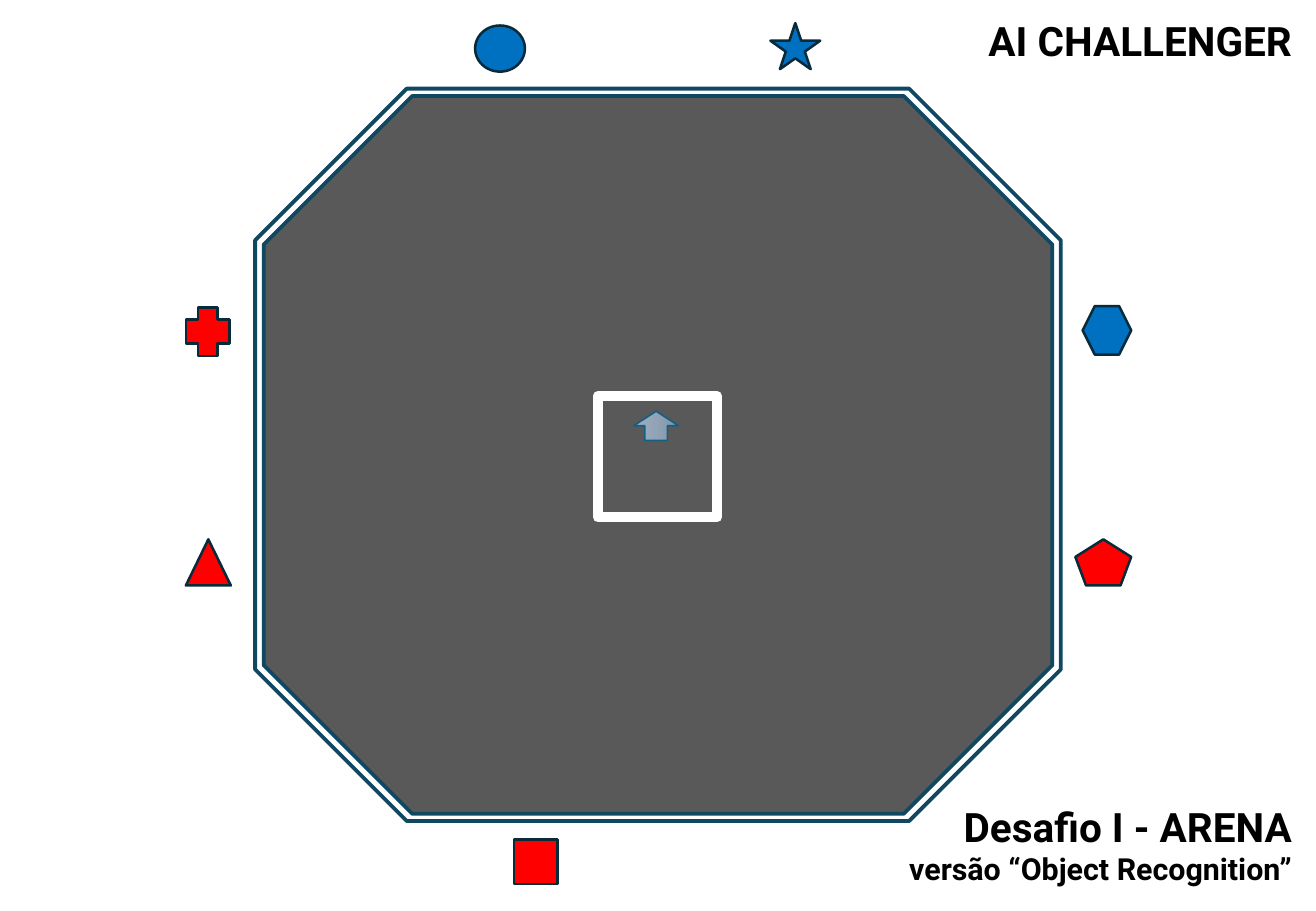
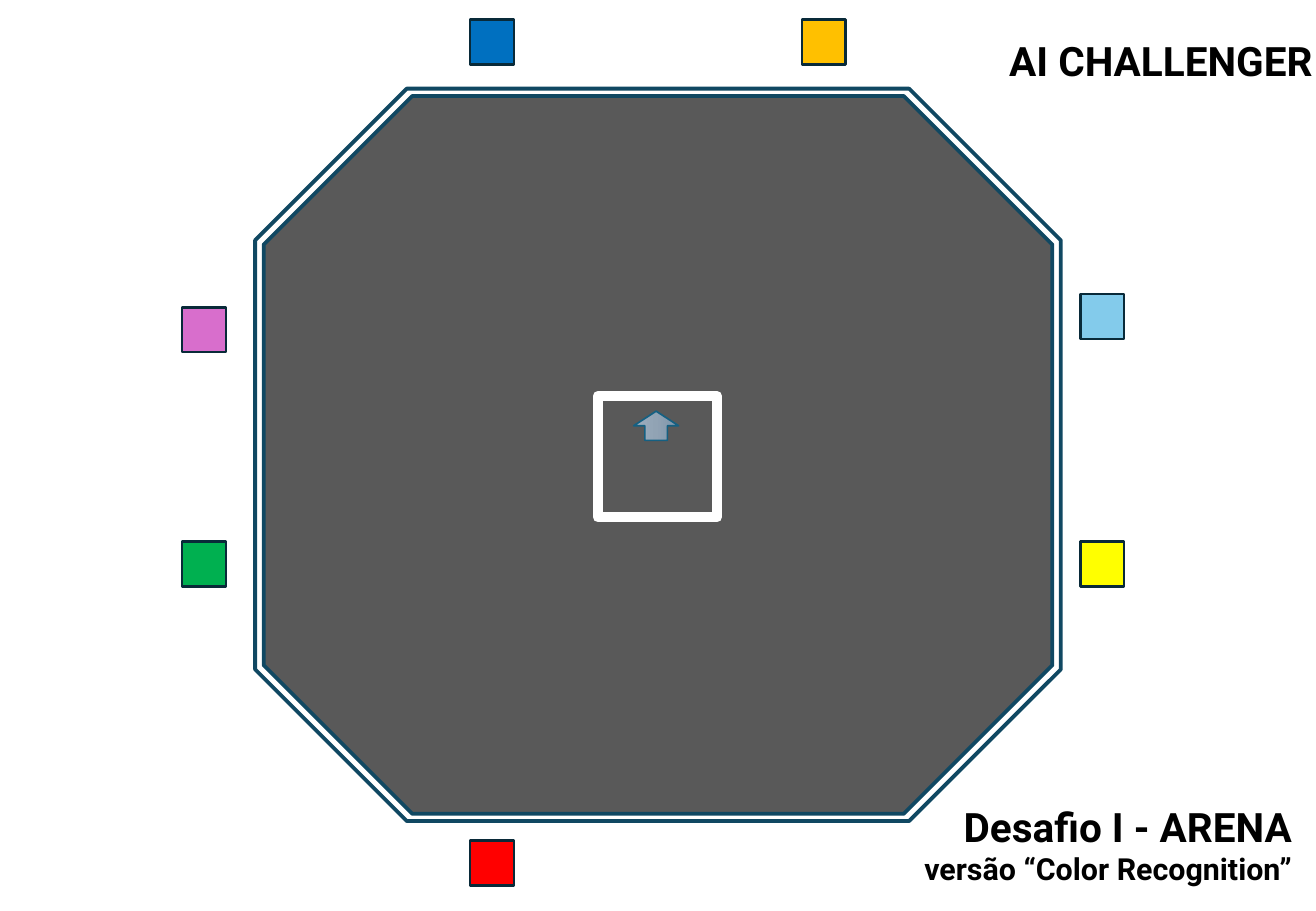
"""Build the two arena slides of the AI challenge."""
from collections import namedtuple
from copy import deepcopy
from dataclasses import dataclass

from pptx import Presentation
from pptx import util as u
from pptx.dml import color
from pptx.enum import shapes, text

Box = namedtuple("Box", "left top width height")
Kind = shapes.MSO_SHAPE


@dataclass(frozen=True)
class Theme:
    """Colours, type sizes and line widths shared by the slides."""
    font: str = "Roboto"
    title_size: int = 24
    subtitle_size: int = 18
    ink: str = "000000"
    floor: str = "595959"
    wall: str = "104862"
    wall_width: float = 2.25
    start: str = "FFFFFF"
    start_width: float = 6
    marker_line: str = "092A39"
    marker_width: float = 1.5
    arrow_line: str = "156082"
    arrow_width: float = 1
    arrow_stops: tuple = ((0, "9EAFBF"), (0.5, "91A3B4"), (1, "7C95AB"))
    red: str = "FF0000"
    blue: str = "0070C0"
    green: str = "00B050"
    yellow: str = "FFFF00"
    orange: str = "FFC000"
    sky: str = "83CBEB"
    pink: str = "D86ECC"


THEME = Theme()
PAGE = Box(0, 0, 10.83, 7.5)
ARENA = Box(2.1, 0.73, 6.63, 6.03)
CAPTION = Box(6.04, 6.55, 4.69, 0.81)
WALL_CUT = 0.207


def rgb(value):
    """Return a colour object for a hex value."""
    return color.RGBColor.from_string(value)


def within(box, left, top, width, height):
    """Return a box placed at an offset inside another box."""
    return Box(box.left + left, box.top + top, width, height)


def add_figure(parent, kind, box, fill, line, width, adjust=None):
    """Add a preset shape with a flat fill, or none, and an outline."""
    figure = parent.add_shape(kind, *map(u.Inches, box))
    figure.shadow.inherit = False
    if fill:
        figure.fill.solid()
        figure.fill.fore_color.rgb = rgb(fill)
    else:
        figure.fill.background()
    figure.line.color.rgb = rgb(line)
    figure.line.width = u.Pt(width)
    if adjust is not None:
        figure.adjustments[0] = adjust
    return figure


def add_lines(page, box, lines):
    """Add bold right-aligned lines, each given as wording and size."""
    frame = page.shapes.add_textbox(*map(u.Inches, box)).text_frame
    frame.word_wrap = True
    frame.auto_size = text.MSO_AUTO_SIZE.SHAPE_TO_FIT_TEXT
    frame.text = "\n".join(wording for wording, _ in lines)
    for para, (_, size) in zip(frame.paragraphs, lines):
        para.alignment = text.PP_ALIGN.RIGHT
        for span in para.runs:
            span.font.name = THEME.font
            span.font.size = u.Pt(size)
            span.font.bold = True
            span.font.color.rgb = rgb(THEME.ink)


def shade_arrow(arrow):
    """Give the arrow its three-stop gradient."""
    arrow.fill.gradient()
    arrow.fill.gradient_angle = 270
    first = arrow.fill.gradient_stops[0]._gs
    first.addnext(deepcopy(first))
    for stop, (position, value) in zip(arrow.fill.gradient_stops, THEME.arrow_stops):
        stop.position = position
        stop.color.rgb = rgb(value)


def add_arena(page, box):
    """Draw the double wall, the start square and the heading arrow."""
    walls = page.shapes.add_group_shape().shapes
    floor = within(box, 0.07, 0.06, box.width - 0.14, box.height - 0.12)
    for area, fill in ((floor, THEME.floor), (box, None)):
        add_figure(walls, Kind.OCTAGON, area, fill, THEME.wall,
                   THEME.wall_width, WALL_CUT)
    start = within(box, 2.82, 2.53, 0.98, 1)
    add_figure(page.shapes, Kind.RECTANGLE, start, None, THEME.start, THEME.start_width)
    arrow = add_figure(page.shapes, Kind.RIGHT_ARROW, within(start, 0.36, 0.06, 0.24, 0.37),
                       None, THEME.arrow_line, THEME.arrow_width)
    arrow.rotation = 270
    shade_arrow(arrow)


def add_markers(page, box, markers):
    """Place the recognition targets around the arena."""
    for kind, fill, place, *adjust in markers:
        add_figure(page.shapes, kind, within(box, *place), fill,
                   THEME.marker_line, THEME.marker_width, *adjust)


def add_challenge(deck, title_at, version, markers):
    """Add one slide showing a version of the challenge."""
    page = deck.slides.add_slide(deck.slide_layouts[6])
    add_arena(page, ARENA)
    add_markers(page, PAGE, markers)
    add_lines(page, within(PAGE, *title_at, 2.83, 0.5),
              [("AI CHALLENGER", THEME.title_size)])
    add_lines(page, CAPTION, [("Desafio I - ARENA", THEME.title_size),
                              (f"versão “{version}”", THEME.subtitle_size)])


OBJECT_MARKERS = [
    (Kind.OVAL, THEME.blue, (3.91, 0.21, 0.41, 0.38)),
    (Kind.STAR_5_POINT, THEME.blue, (6.34, 0.19, 0.41, 0.38)),
    (Kind.HEXAGON, THEME.blue, (8.91, 2.52, 0.4, 0.4)),
    (Kind.REGULAR_PENTAGON, THEME.red, (8.85, 4.44, 0.46, 0.38)),
    (Kind.RECTANGLE, THEME.red, (4.23, 6.91, 0.36, 0.37)),
    (Kind.ISOSCELES_TRIANGLE, THEME.red, (1.53, 4.44, 0.37, 0.38)),
    (Kind.CROSS, THEME.red, (1.53, 2.53, 0.36, 0.4), 0.282),
]

COLOR_MARKERS = [
    (Kind.RECTANGLE, fill, (left, top, 0.36, 0.37))
    for fill, left, top in (
        (THEME.blue, 3.87, 0.16),
        (THEME.orange, 6.6, 0.16),
        (THEME.sky, 8.89, 2.42),
        (THEME.yellow, 8.89, 4.46),
        (THEME.red, 3.87, 6.92),
        (THEME.green, 1.5, 4.46),
        (THEME.pink, 1.5, 2.53),
    )
]


def main():
    """Build and save the deck."""
    deck = Presentation()
    deck.slide_width = u.Inches(PAGE.width)
    deck.slide_height = u.Inches(PAGE.height)
    add_challenge(deck, (7.9, 0.08), "Object Recognition", OBJECT_MARKERS)
    add_challenge(deck, (8.07, 0.25), "Color Recognition", COLOR_MARKERS)
    deck.save("out.pptx")


if __name__ == "__main__":
    main()
